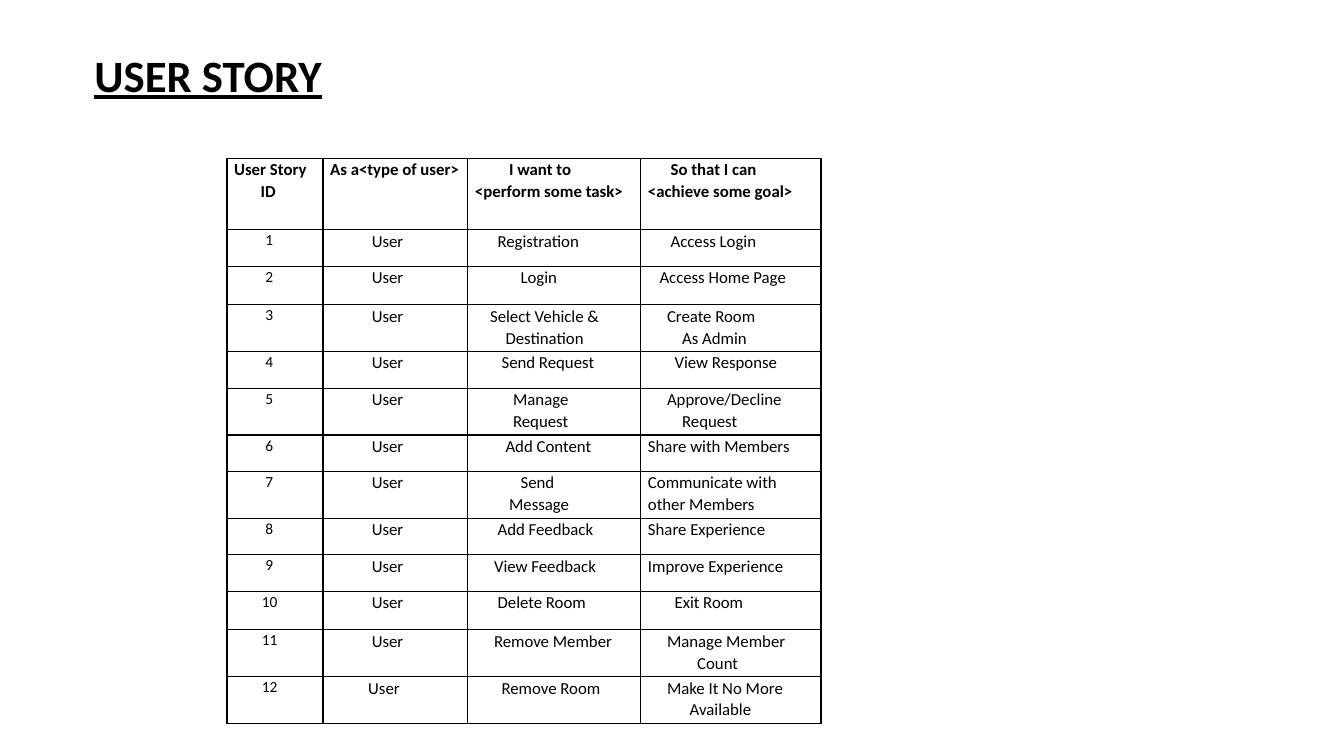
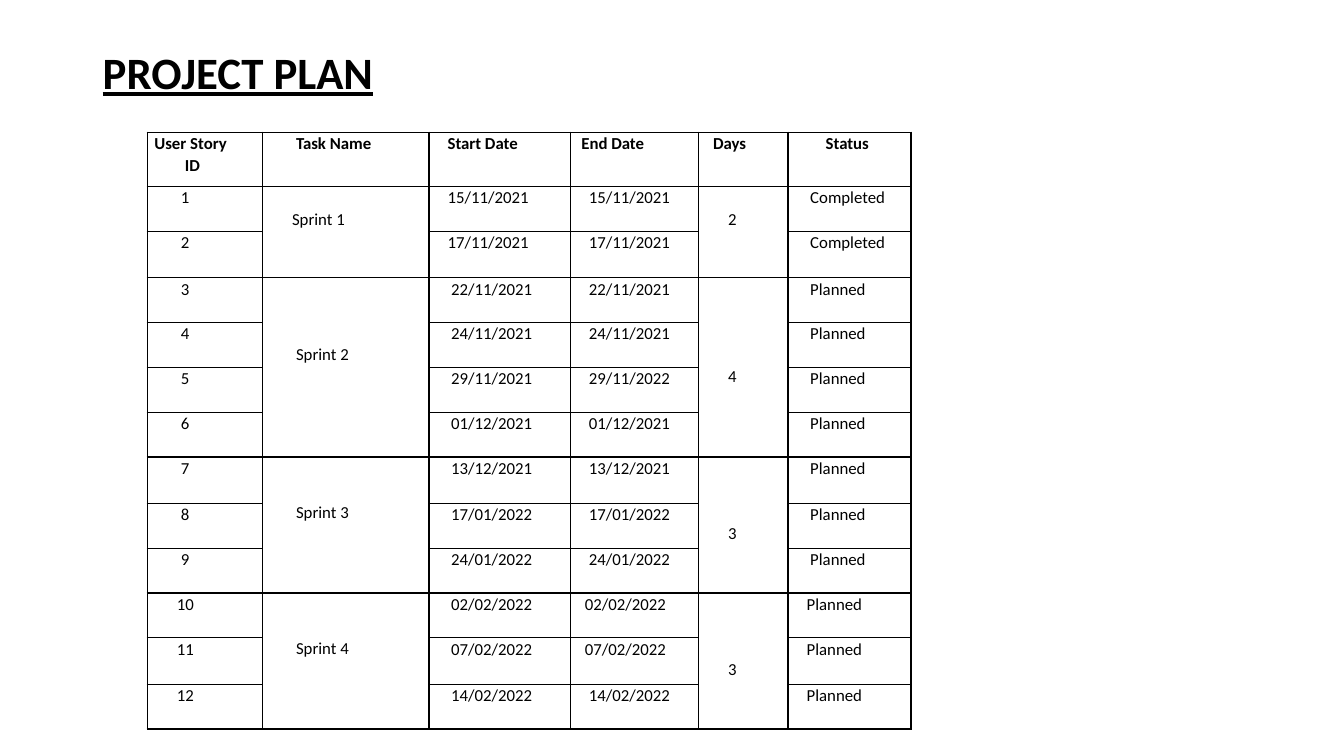
from dataclasses import dataclass
from typing import NamedTuple

from lxml.etree import SubElement
from pptx import Presentation
from pptx.dml.color import RGBColor
from pptx.enum.text import MSO_ANCHOR
from pptx.oxml.ns import qn
from pptx.util import Cm, Pt


@dataclass(frozen=True)
class Theme:
    font: str = "Calibri"
    ink: str = "000000"
    title_size: int = 32
    body_size: int = 12
    small_size: int = 11
    title_spacing: float = 0.9
    body_spacing: float = 1.07
    line_height: float = 0.55
    cell_margin: float = 0.18
    border: int = 1


class Box(NamedTuple):
    """A region in centimetres."""
    left: float
    top: float
    width: float
    height: float

    def lengths(self):
        return [Cm(value) for value in self]


class Line(NamedTuple):
    """A line of cell text with its left indent in centimetres."""
    text: str
    indent: float = 0


class Sprint(NamedTuple):
    """A merged block of the plan; drops count text lines from its top."""
    name: Line
    name_drop: int
    days: str
    days_drop: int
    first_row: int
    last_row: int


THEME = Theme()

STORY_WIDTHS = [2.42, 3.65, 4.36, 4.54]
STORY_HEIGHTS = [1.8, 0.92, 0.97, 1.18, 0.92, 1.18, 0.92, 1.18, 0.92, 0.92, 0.97, 1.18, 1.18]
STORY_HEADER = [
    [Line("User Story"), Line("ID", 0.67)],
    [Line("As a<type of user>")],
    [Line("I want to", 0.86), Line("<perform some task>")],
    [Line("So that I can", 0.57), Line("<achieve some goal>")],
]
STORIES = [
    ([Line("Registration", 0.57)], [Line("Access Login", 0.57)]),
    ([Line("Login", 1.15)], [Line("Access Home Page", 0.29)]),
    ([Line("Select Vehicle &", 0.38), Line("Destination", 0.77)],
     [Line("Create Room", 0.48), Line("As Admin", 0.86)]),
    ([Line("Send Request", 0.67)], [Line("View Response", 0.67)]),
    ([Line("Manage", 0.96), Line("Request", 0.96)],
     [Line("Approve/Decline", 0.48), Line("Request", 0.86)]),
    ([Line("Add Content", 0.77)], [Line("Share with Members")]),
    ([Line("Send", 1.15), Line("Message", 0.86)], [Line("Communicate with other Members")]),
    ([Line("Add Feedback", 0.57)], [Line("Share Experience")]),
    ([Line("View Feedback", 0.48)], [Line("Improve Experience")]),
    ([Line("Delete Room", 0.57)], [Line("Exit Room", 0.67)]),
    ([Line("Remove Member", 0.48)], [Line("Manage Member", 0.48), Line("Count", 1.24)]),
    ([Line("Remove Room", 0.67)], [Line("Make It No More", 0.48), Line("Available", 1.05)]),
]

PLAN_WIDTHS = [2.9, 4.2, 3.56, 3.23, 2.26, 3.1]
PLAN_HEIGHTS = [1.37, 1.13, 1.17, 1.13, 1.13, 1.13, 1.13, 1.17, 1.13, 1.13, 1.13, 1.17, 1.13]
PLAN_HEADER = [
    [Line("User Story"), Line("ID", 0.77)],
    [Line("Task Name", 0.67)],
    [Line("Start Date", 0.29)],
    [Line("End Date", 0.1)],
    [Line("Days", 0.19)],
    [Line("Status", 0.77)],
]
PLAN_ROWS = [
    (Line("15/11/2021", 0.29), Line("15/11/2021", 0.29), Line("Completed", 0.38)),
    (Line("17/11/2021", 0.29), Line("17/11/2021", 0.29), Line("Completed", 0.38)),
    (Line("22/11/2021", 0.38), Line("22/11/2021", 0.29), Line("Planned", 0.38)),
    (Line("24/11/2021", 0.38), Line("24/11/2021", 0.29), Line("Planned", 0.38)),
    (Line("29/11/2021", 0.38), Line("29/11/2022", 0.29), Line("Planned", 0.38)),
    (Line("01/12/2021", 0.38), Line("01/12/2021", 0.29), Line("Planned", 0.38)),
    (Line("13/12/2021", 0.38), Line("13/12/2021", 0.29), Line("Planned", 0.38)),
    (Line("17/01/2022", 0.38), Line("17/01/2022", 0.29), Line("Planned", 0.38)),
    (Line("24/01/2022", 0.38), Line("24/01/2022", 0.29), Line("Planned", 0.38)),
    (Line("02/02/2022", 0.38), Line("02/02/2022", 0.19), Line("Planned", 0.29)),
    (Line("07/02/2022", 0.38), Line("07/02/2022", 0.19), Line("Planned", 0.29)),
    (Line("14/02/2022", 0.38), Line("14/02/2022", 0.29), Line("Planned", 0.29)),
]
SPRINTS = [
    Sprint(Line("Sprint 1", 0.57), 1, "2", 1, 1, 2),
    Sprint(Line("Sprint 2", 0.67), 3, "4", 4, 3, 6),
    Sprint(Line("Sprint 3", 0.67), 2, "3", 3, 7, 9),
    Sprint(Line("Sprint 4", 0.67), 2, "3", 3, 10, 12),
]


def add_run(paragraph, text, size, bold=False, underline=False):
    run = paragraph.add_run()
    run.text = text
    font = run.font
    font.name = THEME.font
    font.size = Pt(size)
    font.bold = bold
    font.underline = underline
    font.color.rgb = RGBColor.from_string(THEME.ink)


def add_title(slide, box, text):
    frame = slide.shapes.add_textbox(*box.lengths()).text_frame
    frame.word_wrap = True
    frame.vertical_anchor = MSO_ANCHOR.MIDDLE
    paragraph = frame.paragraphs[0]
    paragraph.line_spacing = THEME.title_spacing
    add_run(paragraph, text, THEME.title_size, bold=True, underline=True)


def set_borders(cell):
    properties = cell._tc.get_or_add_tcPr()
    for side in ("a:lnL", "a:lnR", "a:lnT", "a:lnB"):
        line = SubElement(properties, qn(side), w=str(Pt(THEME.border)))
        fill = SubElement(line, qn("a:solidFill"))
        SubElement(fill, qn("a:srgbClr"), val=THEME.ink)


def add_grid(slide, left, top, widths, heights):
    """Add an unfilled table with black rules."""
    box = Box(left, top, sum(widths), sum(heights))
    table = slide.shapes.add_table(len(heights), len(widths), *box.lengths()).table
    table.first_row = table.horz_banding = False
    for column, width in zip(table.columns, widths):
        column.width = Cm(width)
    for row, height in zip(table.rows, heights):
        row.height = Cm(height)
    for cell in table.iter_cells():
        set_borders(cell)
        cell.fill.background()
        cell.margin_left = cell.margin_right = Cm(THEME.cell_margin)
        cell.margin_top = cell.margin_bottom = 0
        cell.text_frame.paragraphs[0].font.size = Pt(THEME.body_size)
    return table


def write_cell(cell, lines, size=THEME.body_size, bold=False, drop=0):
    """Write indented lines, starting drop text lines below the cell top."""
    cell.margin_top = Cm(drop * THEME.line_height)
    frame = cell.text_frame
    for index, line in enumerate(lines):
        paragraph = frame.add_paragraph() if index else frame.paragraphs[0]
        paragraph.line_spacing = THEME.body_spacing
        properties = paragraph._p.get_or_add_pPr()
        properties.set("marL", str(Cm(line.indent)))
        properties.set("indent", "0")
        add_run(paragraph, line.text, size, bold)


def write_header(table, header):
    for column, lines in enumerate(header):
        write_cell(table.cell(0, column), lines, bold=True)


def add_story_table(slide, left, top):
    table = add_grid(slide, left, top, STORY_WIDTHS, STORY_HEIGHTS)
    write_header(table, STORY_HEADER)
    for number, (task, goal) in enumerate(STORIES, 1):
        number_line = Line(str(number), 0.79 if number < 10 else 0.7)
        user_line = Line("User", 1.05 if number < len(STORIES) else 0.96)
        write_cell(table.cell(number, 0), [number_line], THEME.small_size)
        for column, lines in enumerate(([user_line], task, goal), 1):
            write_cell(table.cell(number, column), lines)


def add_plan_table(slide, left, top):
    table = add_grid(slide, left, top, PLAN_WIDTHS, PLAN_HEIGHTS)
    write_header(table, PLAN_HEADER)
    for number, (start, end, status) in enumerate(PLAN_ROWS, 1):
        number_line = Line(str(number), 0.67 if number < 10 else 0.57)
        for column, line in ((0, number_line), (2, start), (3, end), (5, status)):
            write_cell(table.cell(number, column), [line])
    for sprint in SPRINTS:
        merged = ((1, sprint.name, sprint.name_drop),
                  (4, Line(sprint.days, 0.57), sprint.days_drop))
        for column, line, drop in merged:
            cell = table.cell(sprint.first_row, column)
            cell.merge(table.cell(sprint.last_row, column))
            write_cell(cell, [line], drop=drop)


def add_story_slide(presentation):
    slide = presentation.slides.add_slide(presentation.slide_layouts[6])
    add_title(slide, Box(2.13, 1.07, 7.52, 1.78), "USER STORY")
    add_story_table(slide, 5.72, 3.99)


def add_plan_slide(presentation):
    slide = presentation.slides.add_slide(presentation.slide_layouts[6])
    add_title(slide, Box(2.34, 1.02, 8.84, 1.73), "PROJECT PLAN")
    add_plan_table(slide, 3.71, 3.33)


def main():
    presentation = Presentation()
    presentation.slide_width = Cm(33.87)
    presentation.slide_height = Cm(19.05)
    add_story_slide(presentation)
    add_plan_slide(presentation)
    presentation.save("out.pptx")


if __name__ == "__main__":
    main()
